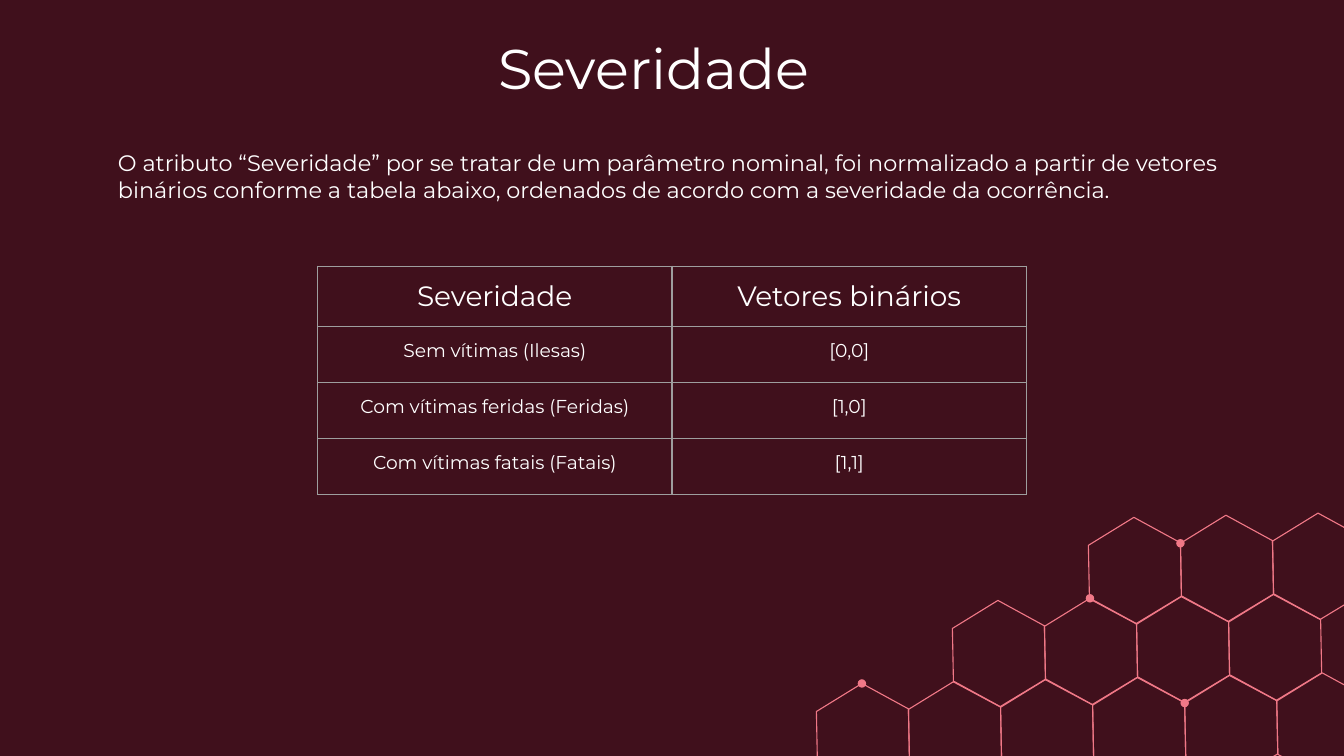
from lxml.etree import SubElement
from pptx import Presentation
from pptx.dml.color import RGBColor
from pptx.enum.shapes import MSO_SHAPE
from pptx.enum.text import MSO_ANCHOR, MSO_AUTO_SIZE, PP_ALIGN
from pptx.oxml.ns import qn
from pptx.util import Cm, Pt

TITLE = "Severidade"
INTRO = (
    "O atributo “Severidade” por se tratar de um parâmetro nominal, foi normalizado "
    "a partir de vetores binários conforme a tabela abaixo, ordenados de acordo com "
    "a severidade da ocorrência."
)
ROWS = [
    ("Severidade", "Vetores binários"),
    ("Sem vítimas (Ilesas)", "[0,0]"),
    ("Com vítimas feridas (Feridas)", "[1,0]"),
    ("Com vítimas fatais (Fatais)", "[1,1]"),
]

BACKGROUND = RGBColor(0x40, 0x10, 0x1C)
WHITE = RGBColor(0xFF, 0xFF, 0xFF)
PINK = RGBColor(0xF0, 0x78, 0x87)
BORDER = RGBColor(0x9E, 0x9E, 0x9E)
FONT = "Montserrat"
INSET = Cm(0.25)

# Honeycomb, in cm: rows from the bottom up, vertices relative to the top one
HEXAGONS_PER_ROW = [6, 4, 3]
FIRST_TOP = (16.29, 12.92)
COLUMN_STEP = (1.74, -0.04)
ROW_STEP = (2.57, -1.57)
VERTICES = [(0, 0), (-0.86, 0.53), (-0.84, 1.54), (0.04, 2.01), (0.9, 1.49), (0.88, 0.48)]
DOTS = [(0, 0, 0), (1, 1, 0), (2, 1, 1), (0, 4, 1)]  # row, column, vertex
DOT_SIZE = 0.16

TABLE_LEFT, TABLE_TOP = 6, 5.03
COLUMN_WIDTH = 6.7
HEADER_HEIGHT, ROW_HEIGHT = 1.14, 1.06


def write(frame, text, size, align=PP_ALIGN.LEFT):
    frame.text = text
    paragraph = frame.paragraphs[0]
    paragraph.alignment = align
    font = paragraph.runs[0].font
    font.name, font.size, font.color.rgb = FONT, Pt(size), WHITE


def fit_frame(frame):
    """Apply the shared insets, wrapping and top anchor to a text frame."""
    frame.word_wrap = True
    frame.auto_size = MSO_AUTO_SIZE.NONE
    frame.vertical_anchor = MSO_ANCHOR.TOP
    frame.margin_left = frame.margin_right = INSET
    frame.margin_top = frame.margin_bottom = INSET


def vertices_of(row, column):
    left, top = (
        start + row * row_step + column * column_step
        for start, row_step, column_step in zip(FIRST_TOP, ROW_STEP, COLUMN_STEP)
    )
    return [(left + x, top + y) for x, y in VERTICES]


def add_honeycomb(slide):
    for row, count in enumerate(HEXAGONS_PER_ROW):
        for column in range(count):
            first, *others = [(Cm(x), Cm(y)) for x, y in vertices_of(row, column)]
            builder = slide.shapes.build_freeform(*first)
            builder.add_line_segments(others, close=True)
            hexagon = builder.convert_to_shape()
            hexagon.shadow.inherit = False
            hexagon.fill.background()
            hexagon.line.color.rgb = PINK
            hexagon.line.width = Pt(0.6)
    for row, column, vertex in DOTS:
        x, y = vertices_of(row, column)[vertex]
        dot = slide.shapes.add_shape(
            MSO_SHAPE.OVAL, Cm(x - DOT_SIZE / 2), Cm(y - DOT_SIZE / 2), Cm(DOT_SIZE), Cm(DOT_SIZE)
        )
        dot.shadow.inherit = False
        dot.fill.solid()
        dot.fill.fore_color.rgb = PINK
        dot.line.fill.background()


def add_borders(cell):
    properties = cell._tc.get_or_add_tcPr()
    for side in ("a:lnL", "a:lnR", "a:lnT", "a:lnB"):
        line = SubElement(properties, qn(side), w=str(Pt(0.75)))
        SubElement(SubElement(line, qn("a:solidFill")), qn("a:srgbClr"), val=str(BORDER))


def add_severity_table(slide):
    columns = len(ROWS[0])
    heights = [HEADER_HEIGHT] + [ROW_HEIGHT] * (len(ROWS) - 1)
    table = slide.shapes.add_table(
        len(ROWS), columns, Cm(TABLE_LEFT), Cm(TABLE_TOP),
        Cm(COLUMN_WIDTH * columns), Cm(sum(heights)),
    ).table
    table.first_row = table.horz_banding = False
    for r, (texts, height) in enumerate(zip(ROWS, heights)):
        table.rows[r].height = Cm(height)
        for c, text in enumerate(texts):
            cell = table.cell(r, c)
            add_borders(cell)
            cell.fill.background()
            cell.margin_left = cell.margin_right = INSET
            cell.margin_top = cell.margin_bottom = INSET
            write(cell.text_frame, text, size=10 if r else 15, align=PP_ALIGN.CENTER)


def main():
    presentation = Presentation()
    presentation.slide_width, presentation.slide_height = Cm(25.4), Cm(14.29)
    slide = presentation.slides.add_slide(presentation.slide_layouts[5])
    slide.background.fill.solid()
    slide.background.fill.fore_color.rgb = BACKGROUND

    add_honeycomb(slide)

    title = slide.shapes.title
    title.left, title.top, title.width, title.height = Cm(1.65), Cm(0.38), Cm(21.41), Cm(1.4)
    fit_frame(title.text_frame)
    write(title.text_frame, TITLE, size=30, align=PP_ALIGN.CENTER)

    intro = slide.shapes.add_textbox(Cm(1.98), Cm(2.57), Cm(21.41), Cm(1.4))
    fit_frame(intro.text_frame)
    write(intro.text_frame, INTRO, size=12)

    add_severity_table(slide)
    presentation.save("out.pptx")


if __name__ == "__main__":
    main()
